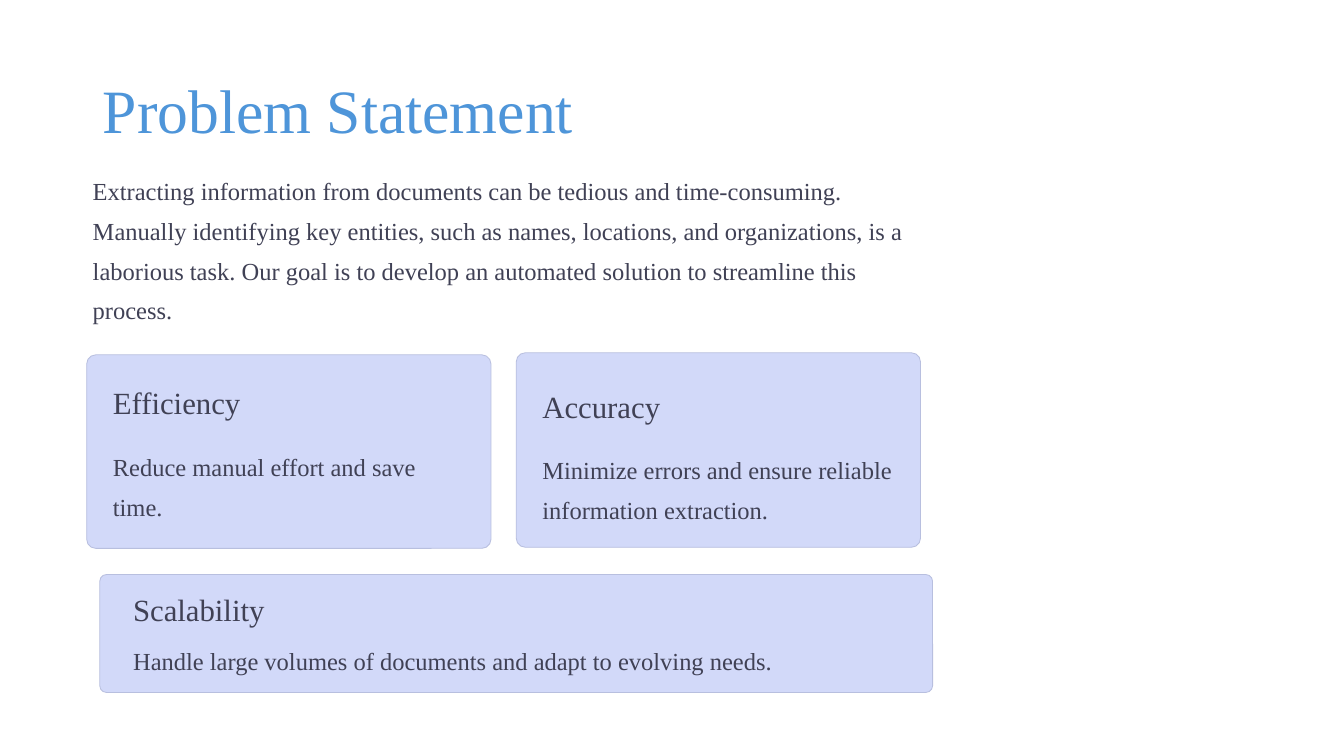
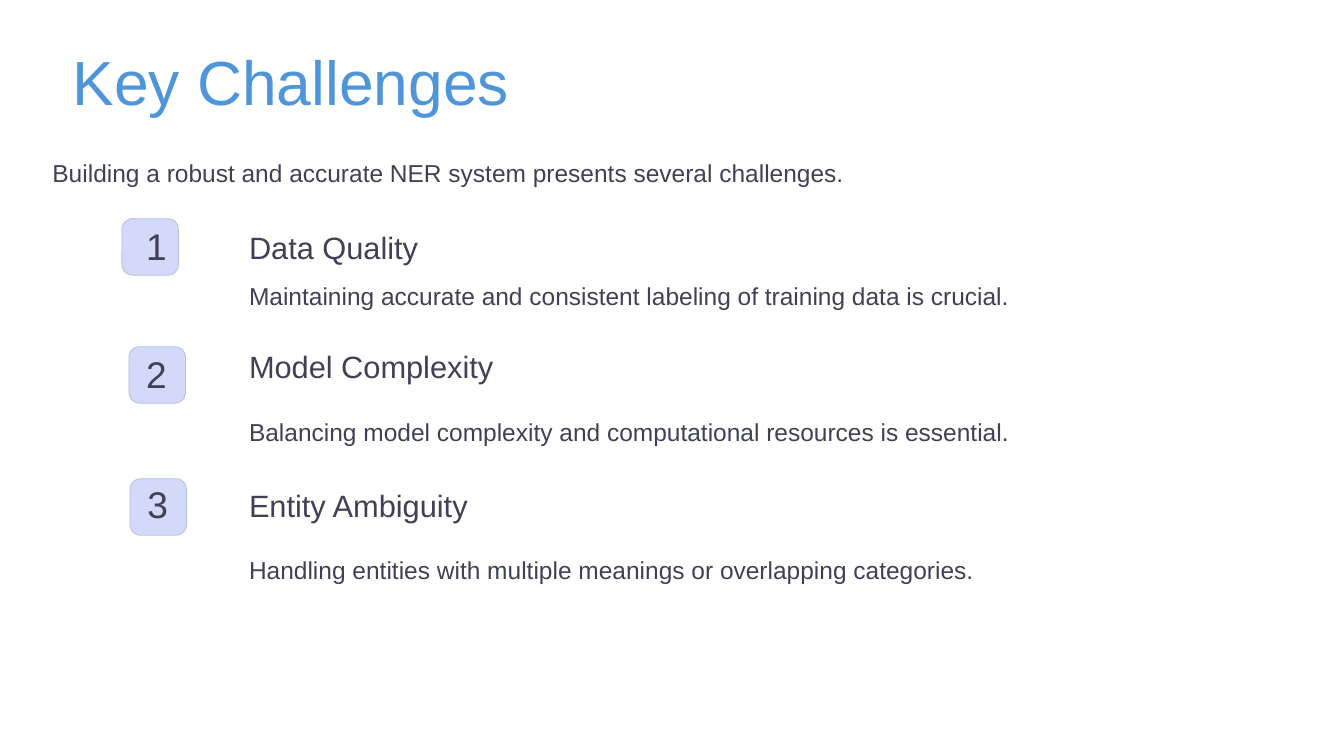
from dataclasses import dataclass

from pptx import Presentation
from pptx import util as u
from pptx.dml.color import RGBColor
from pptx.enum import shapes, text
from pptx.slide import Slide

PX = 9144
COLORS = {"title": "4E95D9", "ink": "404155", "fill": "D2D9F9", "edge": "B8BFDF"}
SERIF, SANS = "Times New Roman", "Arial"


@dataclass(frozen=True)
class Box:
    x: int
    y: int
    w: int
    h: int

    def emu(self) -> tuple[int, int, int, int]:
        return self.x * PX, self.y * PX, self.w * PX, self.h * PX


@dataclass(frozen=True)
class Style:
    size: float
    lead: u.Length | float
    color: str = "ink"
    wrap: bool = True
    center: bool = False
    middle: bool = False


@dataclass(frozen=True)
class Card:
    box: Box
    round: float
    x: int
    head_y: int
    body_y: int
    body_w: int
    head: str
    body: str


@dataclass(frozen=True)
class Step:
    x: int
    y: int
    num: Box
    head_y: int
    body_y: int
    head: str
    body: str


TITLE = Style(44, 0.9, "title", middle=True)
BANNER = Style(44.5, u.Pt(55.5), "title", wrap=False)
HEAD = Style(22, u.Pt(27.5), wrap=False)
BODY = Style(17.5, u.Pt(28.5))
NUM = Style(26.5, u.Pt(26.5), wrap=False, center=True)

CARDS = [
    Card(Box(86, 352, 401, 192), 0.047, 112, 379, 438, 350,
         "Efficiency", "Reduce manual effort and save time."),
    Card(Box(512, 350, 401, 193), 0.047, 538, 383, 441, 350,
         "Accuracy", "Minimize errors and ensure reliable information extraction."),
    Card(Box(99, 570, 826, 117), 0.057, 132, 584, 630, 775,
         "Scalability", "Handle large volumes of documents and adapt to evolving needs."),
]
STEPS = [
    Step(121, 217, Box(145, 229, 11, 37), 225, 268, "Data Quality",
         "Maintaining accurate and consistent labeling of training data is crucial."),
    Step(128, 344, Box(145, 356, 19, 37), 343, 403, "Model Complexity",
         "Balancing model complexity and computational resources is essential."),
    Step(129, 475, Box(146, 485, 21, 37), 481, 540, "Entity Ambiguity",
         "Handling entities with multiple meanings or overlapping categories."),
]


def rgb(key: str) -> RGBColor:
    return RGBColor.from_string(COLORS[key])


def write(slide: Slide, box: Box, words: str, style: Style, face: str) -> None:
    frame = slide.shapes.add_textbox(*box.emu()).text_frame
    frame.margin_left = frame.margin_right = 0
    frame.margin_top = frame.margin_bottom = 0
    frame.word_wrap = style.wrap
    if style.middle:
        frame.vertical_anchor = text.MSO_ANCHOR.MIDDLE
    para = frame.paragraphs[0]
    para.text = words
    para.line_spacing = style.lead
    if style.center:
        para.alignment = text.PP_ALIGN.CENTER
    para.font.name = face
    para.font.size = u.Pt(style.size)
    para.font.color.rgb = rgb(style.color)


def panel(slide: Slide, box: Box, bend: float) -> None:
    shape = slide.shapes.add_shape(shapes.MSO_SHAPE.ROUNDED_RECTANGLE, *box.emu())
    shape.adjustments[0] = bend
    shape.shadow.inherit = False
    shape.fill.solid()
    shape.fill.fore_color.rgb = rgb("fill")
    shape.line.color.rgb = rgb("edge")
    shape.line.width = u.Pt(0.6)


def problem(slide: Slide) -> None:
    write(slide, Box(102, 40, 1130, 145), "Problem Statement", TITLE, SERIF)
    write(slide, Box(92, 164, 826, 159),
          "Extracting information from documents can be tedious and time-consuming. "
          "Manually identifying key entities, such as names, locations, and organizations, "
          "is a laborious task. Our goal is to develop an automated solution to streamline "
          "this process.", BODY, SERIF)
    for card in CARDS:
        panel(slide, card.box, card.round)
        write(slide, Box(card.x, card.head_y, 310, 39), card.head, HEAD, SERIF)
        write(slide, Box(card.x, card.body_y, card.body_w, 79), card.body, BODY, SERIF)


def issues(slide: Slide) -> None:
    write(slide, Box(72, 40, 620, 78), "Key Challenges", BANNER, SANS)
    write(slide, Box(52, 146, 988, 79),
          "Building a robust and accurate NER system presents several challenges.", BODY, SANS)
    for count, step in enumerate(STEPS, 1):
        panel(slide, Box(step.x, step.y, 56, 56), 0.187)
        write(slide, step.num, str(count), NUM, SANS)
        write(slide, Box(247, step.head_y, 310, 39), step.head, HEAD, SANS)
        write(slide, Box(247, step.body_y, 773, 119), step.body, BODY, SANS)


def main() -> None:
    deck = Presentation()
    deck.slide_width, deck.slide_height = 1333 * PX, 750 * PX
    for draw in (problem, issues):
        draw(deck.slides.add_slide(deck.slide_layouts[6]))
    deck.save("out.pptx")


if __name__ == "__main__":
    main()
